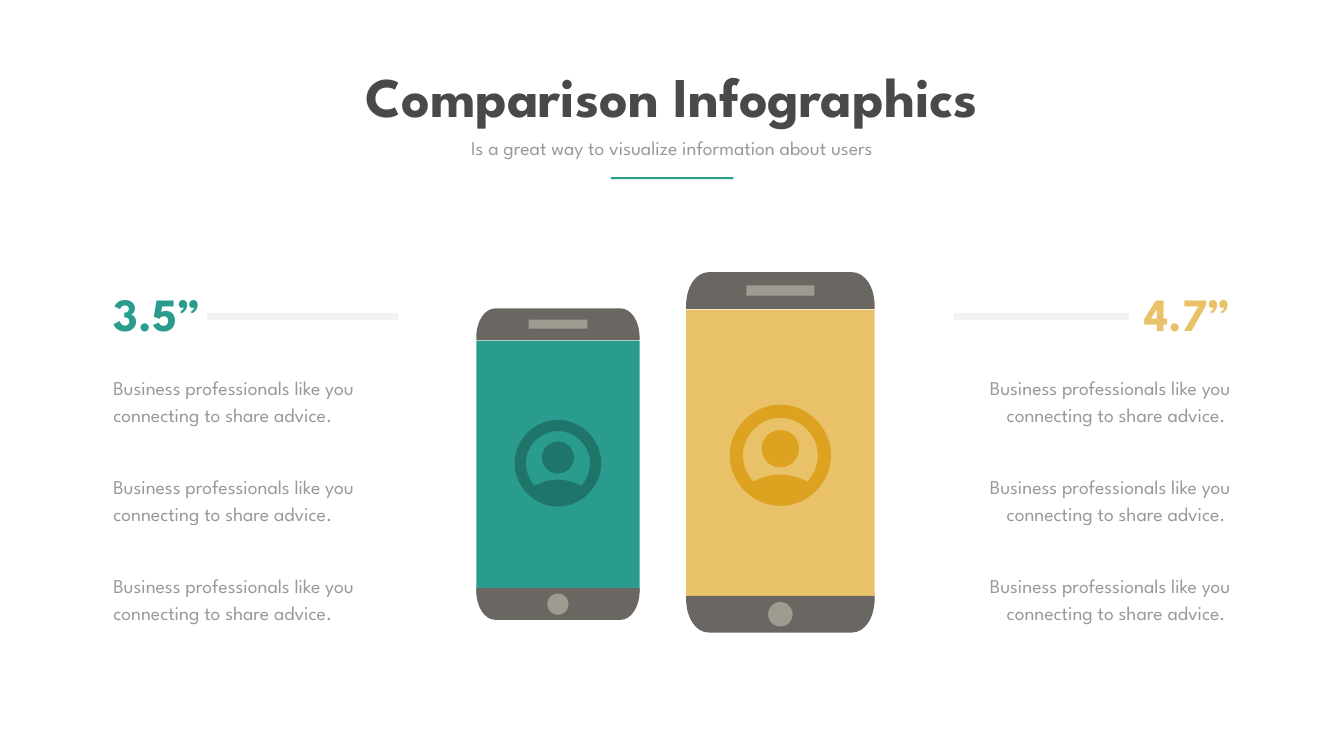
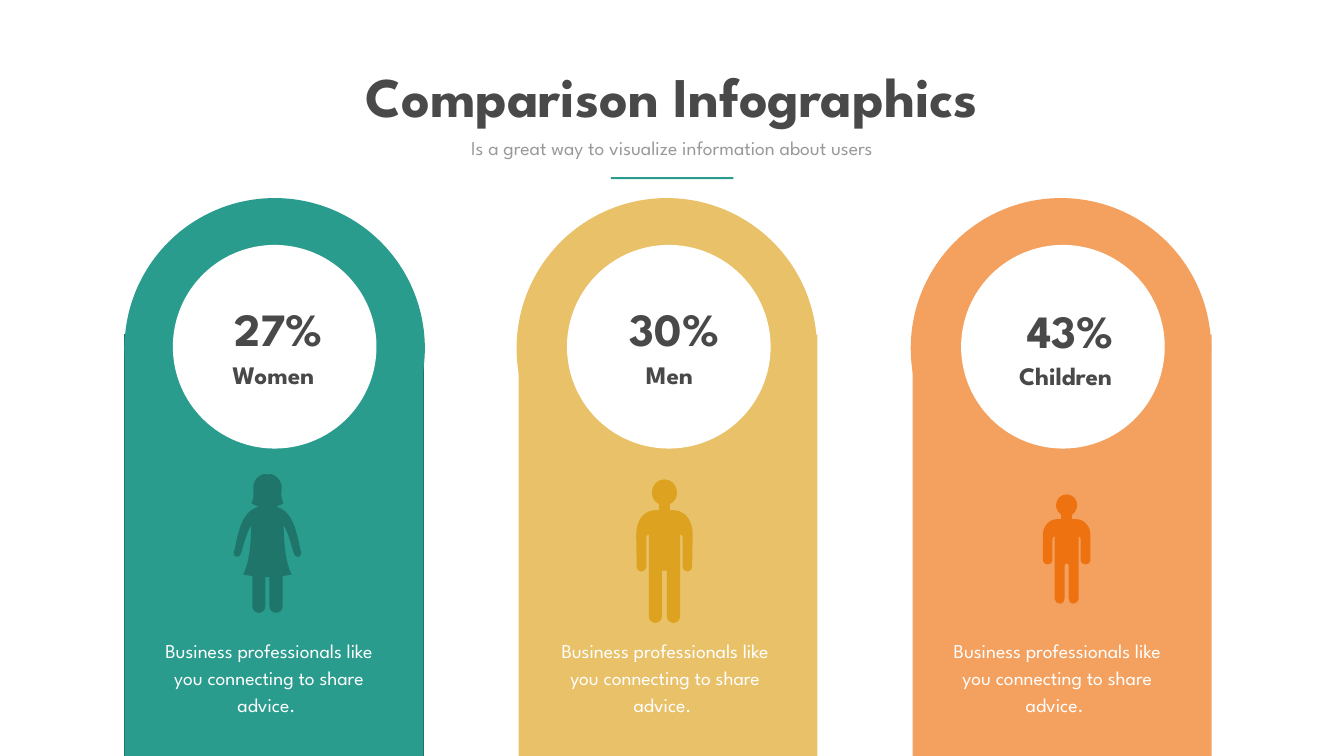
from lxml import etree
from pptx import Presentation
from pptx import util as u
from pptx.dml.color import RGBColor
from pptx.enum import shapes as kinds, text as styles
from pptx.oxml.ns import qn

COLUMNS, ROWS = 80, 45
CELL = u.Inches(1 / 3)  # the grid cells are square

FONT = "League Spartan"
DARK, GREY, PALE, WHITE = "494949", "999999", "F2F2F2", "FFFFFF"
TEAL, TEAL_DARK, TEAL_EDGE = "2A9C8E", "20756B", "1F7369"
SAND, SAND_DARK = "E9C169", "DDA220"
ORANGE, ORANGE_DARK = "F4A15F", "EE7210"
CASE, DETAIL = "6A6762", "A09B91"

LEFT, CENTER, RIGHT = (styles.PP_ALIGN.LEFT, styles.PP_ALIGN.CENTER, styles.PP_ALIGN.RIGHT)
RECTANGLE, OVAL = kinds.MSO_SHAPE.RECTANGLE, kinds.MSO_SHAPE.OVAL

ADVICE = "Business professionals like you connecting to share advice."
SPACED_ADVICE = ADVICE + " "

# Right halves of symmetric outlines, from top centre to bottom centre:
# pairs are corners, sixes are cubic curves.
CAP = [(0, 0), (0.38, 0), (0.45, 0, 0.5, 0.41, 0.5, 0.92), (0.5, 1), (0, 1)]
USER_RING = [(0, 0), (0.27, 0, 0.5, 0.23, 0.5, 0.5), (0.5, 0.77, 0.27, 1, 0, 1)]
USER_HOLE = [(0, 0.13), (0.2, 0.13, 0.37, 0.3, 0.37, 0.5),
             (0.37, 0.6, 0.33, 0.69, 0.27, 0.76), (0.19, 0.72, 0.09, 0.69, 0, 0.69)]
WOMAN = [(0, 0.02), (0.07, -0.04, 0.31, 0.09, 0.28, 0.31),
         (0.26, 0.52, 0.32, 0.58, 0.32, 0.58), (0.32, 0.58, 0.28, 0.62, 0.17, 0.65),
         (0.46, 0.73, 0.56, 1.02, 0.65, 1.5), (0.67, 1.55),
         (0.68, 1.59, 0.66, 1.63, 0.62, 1.65), (0.57, 1.65, 0.54, 1.63, 0.53, 1.59),
         (0.51, 1.54), (0.44, 1.29, 0.39, 1.13, 0.32, 1.02),
         (0.33, 1.3, 0.34, 1.72, 0.48, 2), (0.44, 2.01, 0.37, 2.02, 0.3, 2.03),
         (0.3, 2.63), (0.3, 2.7, 0.24, 2.76, 0.17, 2.76),
         (0.1, 2.76, 0.04, 2.7, 0.04, 2.63), (0.04, 2.05), (0, 2.05)]
MAN = [(0, 0), (0.14, 0, 0.25, 0.12, 0.25, 0.26), (0.25, 0.36, 0.2, 0.45, 0.11, 0.49),
       (0.11, 0.61), (0.15, 0.61), (0.36, 0.61, 0.56, 0.74, 0.56, 1.12), (0.55, 1.74),
       (0.55, 1.79, 0.51, 1.83, 0.46, 1.83), (0.4, 1.83, 0.36, 1.79, 0.36, 1.74),
       (0.36, 1.2), (0.36, 1.14, 0.37, 1.09, 0.31, 1.09), (0.31, 2.72),
       (0.31, 2.79, 0.25, 2.85, 0.18, 2.85), (0.11, 2.85, 0.05, 2.79, 0.05, 2.72),
       (0.05, 1.81), (0, 1.81)]
CHILD = [(0, 0), (0.12, 0, 0.21, 0.1, 0.21, 0.21), (0.21, 0.29, 0.16, 0.37, 0.11, 0.4),
         (0.11, 0.49), (0.18, 0.49), (0.37, 0.49, 0.47, 0.66, 0.47, 0.78), (0.47, 1.32),
         (0.47, 1.36, 0.42, 1.39, 0.38, 1.39), (0.33, 1.39, 0.28, 1.36, 0.28, 1.32),
         (0.28, 0.91), (0.28, 0.87, 0.27, 0.83, 0.24, 0.83), (0.24, 2.07),
         (0.24, 2.13, 0.18, 2.17, 0.12, 2.17), (0.07, 2.17, 0.04, 2.11, 0.04, 2.06),
         (0.04, 1.41), (0.04, 1.39, 0.02, 1.37, 0, 1.37)]


def color(hex_string):
    return RGBColor.from_string(hex_string)


def cells(*lengths):
    return [round(length * CELL) for length in lengths]


def paint(shape, fill, edge=None):
    shape.shadow.inherit = False
    shape.fill.solid()
    shape.fill.fore_color.rgb = color(fill)
    if edge:
        shape.line.color.rgb = color(edge)
        shape.line.width = u.Pt(1)
    else:
        shape.line.fill.background()


def add_block(shapes, kind, box, fill, edge=None):
    paint(shapes.add_shape(kind, *cells(*box)), fill, edge)


def write(shape, content, size=28, ink=GREY, bold=False, align=LEFT, spacing=None, wrap=True):
    frame = shape.text_frame
    frame.word_wrap = wrap
    frame.auto_size = styles.MSO_AUTO_SIZE.SHAPE_TO_FIT_TEXT
    frame.vertical_anchor = styles.MSO_ANCHOR.TOP
    paragraph = frame.paragraphs[0]
    paragraph.alignment = align
    paragraph.space_before = u.Pt(0)
    if spacing:
        paragraph.line_spacing = u.Pt(spacing)
    run = paragraph.add_run()
    run.text = content
    run.font.name = FONT
    run.font.size = u.Pt(size)
    run.font.bold = bold
    run.font.color.rgb = color(ink)


def add_text(slide, box, content, **style):
    write(slide.shapes.add_textbox(*cells(*box)), content, **style)


def add_line(slide, start, end, ink, width):
    line = slide.shapes.add_connector(kinds.MSO_CONNECTOR.STRAIGHT, *cells(*start, *end))
    line.line.color.rgb = color(ink)
    line.line.width = u.Pt(width)
    etree.SubElement(line._element.spPr, qn("a:effectLst"))


def bend(shape, lengths):
    """Merge each run of three line segments into one cubic curve."""
    segments = iter(list(shape._element.iter(qn("a:lnTo"))))
    for length in lengths:
        first, *others = [next(segments) for _ in range(length)]
        if others:
            first.tag = qn("a:cubicBezTo")
        for other in others:
            first.append(other[0])
            other.getparent().remove(other)


def add_symmetric(shapes, halves, center, top, scale_x, scale_y, fill):
    """Mirror each half outline about center; a second half cuts a hole."""
    builder, lengths = None, []
    for half in halves:
        right = [piece[i:i + 2] for piece in half for i in range(0, len(piece), 2)]
        ring = right + [(-x, y) for x, y in right[-2::-1]]
        points = [cells(center + x * scale_x, top + y * scale_y) for x, y in ring]
        if builder is None:
            builder = shapes.build_freeform(*points[0], scale=1.0)
        else:
            builder.move_to(*points[0])
        builder.add_line_segments(points[1:], close=True)
        half_lengths = [len(piece) // 2 for piece in half[1:]]
        lengths += half_lengths + half_lengths[::-1]
    shape = builder.convert_to_shape()
    bend(shape, lengths)
    paint(shape, fill)


def add_heading(slide):
    title, subtitle = slide.placeholders
    for shape, box in ((title, (18.63, 3.51, 42.69, 4.35)),
                       (subtitle, (25.65, 7.95, 28.68, 1.71))):
        shape.left, shape.top, shape.width, shape.height = cells(*box)
    write(title, "Comparison Infographics", size=80, ink=DARK, bold=True,
          align=CENTER, wrap=False)
    write(subtitle, "Is a great way to visualize information about users", align=CENTER)
    add_block(slide.shapes, RECTANGLE, (36.36, 10.55, 7.29, 0.12), TEAL)


def add_user_icon(shapes, center, middle, diameter, fill):
    top = middle - diameter / 2
    add_symmetric(shapes, [USER_RING, USER_HOLE], center, top, diameter, diameter, fill)
    head = 0.37 * diameter
    add_block(shapes, OVAL, (center - head / 2, top + 0.25 * diameter, head, head), fill)


def add_phone(slide, left, top, width, height, screen, icon, icon_middle, icon_size):
    shapes = slide.shapes.add_group_shape().shapes
    center = left + width / 2
    cap = height / 9.8

    def part(kind, x, y, w, h, fill):
        """Place a part by shares of the width and multiples of the cap height."""
        add_block(shapes, kind, (left + x * width, top + y * cap, w * width, h * cap), fill)

    part(RECTANGLE, 0, 1.02, 1, 7.94, screen)
    add_symmetric(shapes, [CAP], center, top, width, cap, CASE)
    add_symmetric(shapes, [CAP], center, top + height, width, -cap, CASE)
    part(RECTANGLE, 0.32, 0.36, 0.36, 0.28, DETAIL)
    part(OVAL, 0.5 - 0.13 / 2, 8.97, 0.13, 0.13 * width / cap, DETAIL)
    add_user_icon(shapes, center, top + icon_middle, icon_size, icon)


def add_specification(slide, left, size, advice, ink, align, size_offset, line_span):
    """Screen size with a bar beside it, above three remarks."""
    for row in range(3):
        add_text(slide, (left, 22.04 + 5.88 * row, 18.36, 3.54), advice,
                 align=align, spacing=38.6)
    add_text(slide, (left + size_offset, 16.86, 6.27, 3.63), size,
             size=66, ink=ink, bold=True, align=align)
    start, end = line_span
    add_line(slide, (left + start, 18.84), (left + end, 18.84), PALE, 10)


def add_share_column(slide, index, share, label, fill, edge, figure, figure_fill,
                     figure_center, figure_top, dome_shift, advice_shift, drop):
    left = 7.41 + 23.46 * index
    drift = 0.12 * index
    shapes = slide.shapes
    add_block(shapes, RECTANGLE, (left, 19.92, 17.79, 25.08), fill, edge)
    add_block(shapes, OVAL, (left + dome_shift, 11.79, 17.88, 17.88), fill)
    add_block(shapes, OVAL, (left + 2.88, 14.58, 12.12, 12.12), WHITE)
    add_text(slide, (left + 6.09 + drift, 17.73 + drop, 6.12, 3.63), share,
             size=66, ink=DARK, bold=True, align=CENTER, wrap=False)
    add_text(slide, (left - 0.76 + drift, 21.21 + drop, 19.23, 2.13), label,
             size=36, ink=DARK, bold=True, align=CENTER)
    # Figure outlines are drawn in units of three cells.
    add_symmetric(shapes, [figure], left + figure_center, figure_top, 3, 3, figure_fill)
    add_text(slide, (left + 1.44 + advice_shift, 37.68, 14.31, 5.16), SPACED_ADVICE,
             ink=WHITE, align=CENTER, spacing=38.6)


def build_phone_slide(slide):
    add_phone(slide, 28.35, 18.35, 9.72, 18.55, TEAL, TEAL_DARK, 9.22, 5.16)
    add_phone(slide, 40.84, 16.2, 11.22, 21.45, SAND, SAND_DARK, 10.9, 6.03)
    add_specification(slide, 6.45, "3.5”", ADVICE, TEAL, LEFT, 0, (5.88, 17.25))
    add_specification(slide, 55.17, "4.7”", SPACED_ADVICE, SAND, RIGHT, 12.18, (1.62, 12.06))
    add_heading(slide)


def build_people_slide(slide):
    people = [
        ("27%", "Women", TEAL, TEAL_EDGE, WOMAN, TEAL_DARK, 8.51, 28.2, 0, 0, 0),
        ("30%", "Men", SAND, None, MAN, SAND_DARK, 8.68, 28.53, -0.12, 0.12, 0),
        ("43%", "Children", ORANGE, None, CHILD, ORANGE_DARK, 9.16, 29.43, -0.12, 0, 0.09),
    ]
    for index, person in enumerate(people):
        add_share_column(slide, index, *person)
    add_heading(slide)


def main():
    presentation = Presentation()
    presentation.slide_width, presentation.slide_height = cells(COLUMNS, ROWS)
    for build in (build_phone_slide, build_people_slide):
        build(presentation.slides.add_slide(presentation.slide_layouts[0]))
    presentation.save("out.pptx")


if __name__ == "__main__":
    main()
